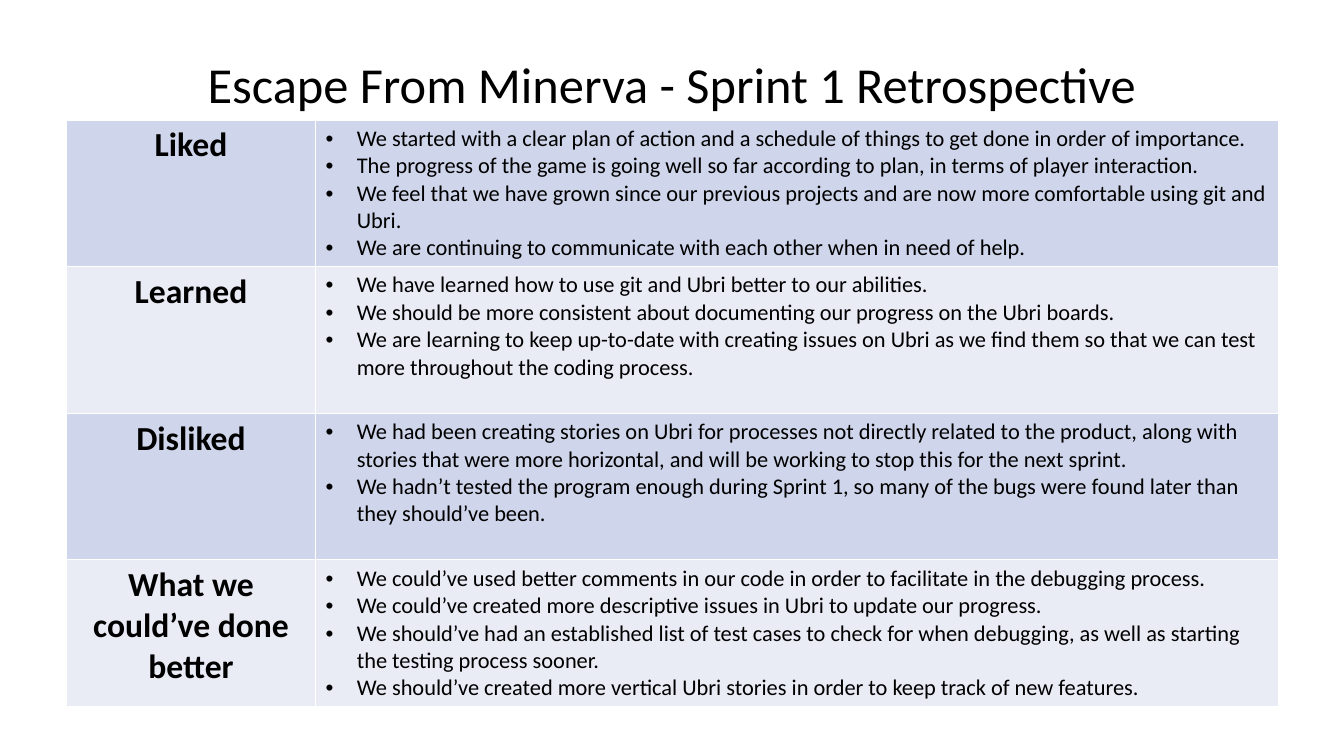
import pptx
import pptx.util
import pptx.dml.color
import pptx.enum.text
import pptx.oxml
import pptx.oxml.ns

Inches, Pt = pptx.util.Inches, pptx.util.Pt
CENTER = pptx.enum.text.PP_ALIGN.CENTER

# Content
TITLE = "Escape From Minerva - Sprint 1 Retrospective"
TOPICS = [
    ("Liked", [
        "We started with a clear plan of action and a schedule of things to get done in order of importance.",
        "The progress of the game is going well so far according to plan, in terms of player interaction.",
        "We feel that we have grown since our previous projects and are now more comfortable using git and Ubri.",
        "We are continuing to communicate with each other when in need of help.",
    ]),
    ("Learned", [
        "We have learned how to use git and Ubri better to our abilities.",
        "We should be more consistent about documenting our progress on the Ubri boards.",
        "We are learning to keep up-to-date with creating issues on Ubri as we find them so that we can test "
        "more throughout the coding process.",
    ]),
    ("Disliked", [
        "We had been creating stories on Ubri for processes not directly related to the product, along with "
        "stories that were more horizontal, and will be working to stop this for the next sprint.",
        "We hadn’t tested the program enough during Sprint 1, so many of the bugs were found later than "
        "they should’ve been.",
    ]),
    ("What we could’ve done better", [
        "We could’ve used better comments in our code in order to facilitate in the debugging process.",
        "We could’ve created more descriptive issues in Ubri to update our progress.",
        "We should’ve had an established list of test cases to check for when debugging, as well as starting "
        "the testing process sooner.",
        "We should’ve created more vertical Ubri stories in order to keep track of new features.",
    ]),
]

# Look
COLORS = {"text": "000000", "border": "FFFFFF", "bands": ("CFD5EA", "E9EBF5")}
FONT = "Calibri"
COLUMN_WIDTHS = (2.47, 9.55)
TABLE_LEFT, TABLE_TOP, TABLE_HEIGHT = 0.66, 1.19, 5.82
BULLET_INDENT = Inches(0.31)


def rgb(hex_code):
    return pptx.dml.color.RGBColor.from_string(hex_code)


def style(para, size, bold=False, align=None):
    para.font.name = FONT
    para.font.size = Pt(size)
    para.font.bold = bold
    para.font.color.rgb = rgb(COLORS["text"])
    para.alignment = align


def add_bullet(para):
    props = para._p.get_or_add_pPr()
    props.set("marL", str(BULLET_INDENT))
    props.set("indent", str(-BULLET_INDENT))
    marks = [f'<a:buFont {pptx.oxml.ns.nsdecls("a")} typeface="Arial"/>',
             f'<a:buChar {pptx.oxml.ns.nsdecls("a")} char="•"/>']
    # Bullet marks stand before the default run properties
    for position, mark in enumerate(marks):
        props.insert(position, pptx.oxml.parse_xml(mark))


def paint_cell(cell, fill):
    props = cell._tc.get_or_add_tcPr()
    for side in ("lnL", "lnR", "lnT", "lnB"):
        props.append(pptx.oxml.parse_xml(
            f'<a:{side} {pptx.oxml.ns.nsdecls("a")} w="{Pt(1)}"><a:solidFill>'
            f'<a:srgbClr val="{COLORS["border"]}"/></a:solidFill></a:{side}>'))
    cell.fill.solid()
    cell.fill.fore_color.rgb = rgb(fill)


deck = pptx.Presentation()
deck.slide_width, deck.slide_height = Inches(13.33), Inches(7.5)
page = deck.slides.add_slide(deck.slide_layouts[6])

# Title
box = page.shapes.add_textbox(Inches(0.95), Inches(0.48), Inches(11.43), Inches(0.71))
box.text_frame.word_wrap = True
box.text_frame.auto_size = pptx.enum.text.MSO_AUTO_SIZE.SHAPE_TO_FIT_TEXT
box.text_frame.text = TITLE
style(box.text_frame.paragraphs[0], 36, align=CENTER)

# Retrospective table
table = page.shapes.add_table(
    len(TOPICS), len(COLUMN_WIDTHS), Inches(TABLE_LEFT), Inches(TABLE_TOP),
    Inches(sum(COLUMN_WIDTHS)), Inches(TABLE_HEIGHT)).table
table.first_row = table.horz_banding = False
for column, width in zip(table.columns, COLUMN_WIDTHS):
    column.width = Inches(width)

for index, (topic, notes) in enumerate(TOPICS):
    table.rows[index].height = Inches(TABLE_HEIGHT / len(TOPICS))
    topic_cell, notes_cell = table.rows[index].cells
    topic_cell.text = topic
    style(topic_cell.text_frame.paragraphs[0], 24, bold=True, align=CENTER)
    notes_cell.text = "\n".join(notes)
    for para in notes_cell.text_frame.paragraphs:
        style(para, 16)
        add_bullet(para)
    for cell in (topic_cell, notes_cell):
        paint_cell(cell, COLORS["bands"][index % 2])

deck.save("out.pptx")
